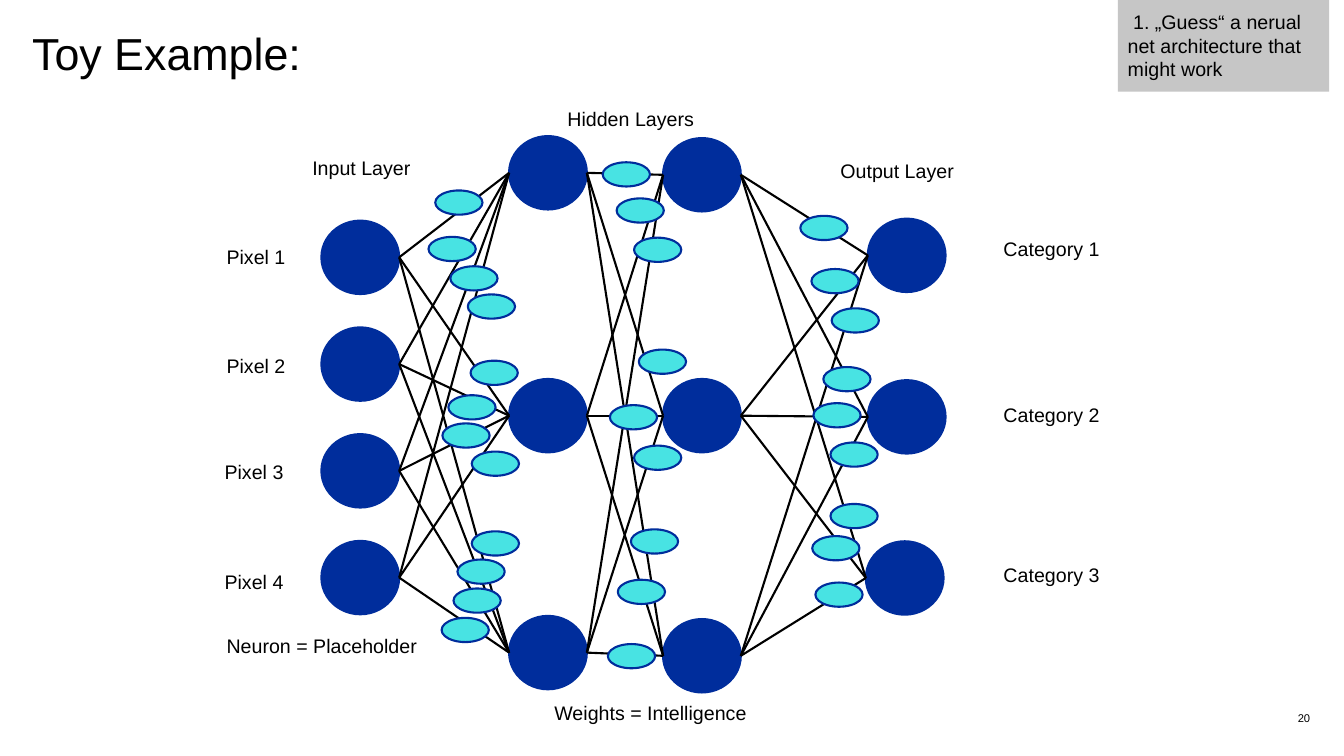
from itertools import pairwise, product

from lxml.etree import SubElement
from pptx import Presentation
from pptx.dml.color import RGBColor
from pptx.enum.shapes import MSO_CONNECTOR, MSO_SHAPE
from pptx.enum.text import MSO_ANCHOR, PP_ALIGN
from pptx.oxml.ns import qn
from pptx.util import Cm, Pt


def color(code):
    return RGBColor.from_string(code)


class Board:
    font = "Arial"
    ink = "000000"
    navy = "002D9C"
    cyan = "48E3E3"
    gray = "C6C6C6"
    stroke = Pt(1.5)

    def __init__(self, slide):
        self.slide = slide

    def fill_text(self, shape, text, size=14, pad=0.25, wrap=True,
                  align=PP_ALIGN.LEFT, anchor=MSO_ANCHOR.TOP):
        frame = shape.text_frame
        frame.word_wrap = wrap
        frame.vertical_anchor = anchor
        frame.margin_left = frame.margin_right = Cm(pad)
        frame.margin_top = frame.margin_bottom = Cm(pad)
        para = frame.paragraphs[0]
        para.text = text
        para.alignment = align
        para.font.name = self.font
        para.font.size = Pt(size)
        para.font.color.rgb = color(self.ink)
        return para

    def text(self, box, text, **style):
        shape = self.slide.shapes.add_textbox(*map(Cm, box))
        return self.fill_text(shape, text, **style)

    def shape(self, kind, box, fill):
        shape = self.slide.shapes.add_shape(kind, *map(Cm, box))
        shape.shadow.inherit = False
        shape.fill.solid()
        shape.fill.fore_color.rgb = color(fill)
        return shape

    def oval(self, box, fill):
        oval = self.shape(MSO_SHAPE.OVAL, box, fill)
        oval.line.color.rgb = color(self.navy)
        oval.line.width = self.stroke
        return oval

    def note(self, box, text):
        note = self.shape(MSO_SHAPE.RECTANGLE, box, self.gray)
        note.line.fill.background()
        self.fill_text(note, text)

    def link(self, left, right):
        line = self.slide.shapes.add_connector(
            MSO_CONNECTOR.STRAIGHT,
            left.left + left.width, left.top + left.height // 2,
            right.left, right.top + right.height // 2)
        line.line.color.rgb = color(self.ink)
        line.line.width = self.stroke
        SubElement(line._element.spPr, qn("a:effectLst"))


def main():
    deck = Presentation()
    deck.slide_width, deck.slide_height = Cm(33.87), Cm(19.05)
    board = Board(deck.slides.add_slide(deck.slide_layouts[6]))

    # Neurons, layer by layer
    places = [
        [(8.1, 5.56 + 2.69 * row) for row in range(4)],
        [(12.83, 3.43), (12.83, 9.55), (12.83, 15.52)],
        [(16.71, 3.48), (16.71, 9.55), (16.71, 15.6)],
        [(21.87, 5.51), (21.87, 9.58), (21.82, 13.64)],
    ]
    layers = [[board.oval((x, y, 1.96, 1.85), board.navy) for x, y in layer]
              for layer in places]

    # Every neuron meets every neuron of the next layer
    for near, far in pairwise(layers):
        for left, right in product(near, far):
            board.link(left, right)

    # Weights on the links
    weights = [
        # input to first hidden layer
        (10.97, 4.8), (10.8, 5.97), (11.35, 6.71), (11.79, 7.42),
        (11.86, 9.09), (11.3, 9.96), (11.15, 10.67), (11.89, 11.38),
        (11.89, 13.39), (11.53, 14.1), (11.43, 14.83), (11.13, 15.57),
        # first to second hidden layer
        (15.19, 4.09), (15.54, 5), (15.98, 5.99),
        (16.1, 8.81), (15.37, 10.21), (15.98, 11.23),
        (15.9, 13.34), (15.57, 14.61), (15.32, 16.23),
        # second hidden layer to output
        (20.17, 5.44), (20.45, 6.78), (20.96, 7.77),
        (20.75, 9.25), (20.5, 10.16), (20.93, 11.15),
        (20.93, 12.7), (20.47, 13.51), (20.55, 14.68),
    ]
    for x, y in weights:
        board.oval((x, y, 1.19, 0.61), board.cyan)

    # Labels
    labels = [
        ("Input Layer", 7.62, 3.68, 3),
        ("Hidden Layers", 14.05, 2.44, 3.71),
        ("Output Layer", 20.93, 3.76, 3.38),
        ("Neuron = Placeholder", 5.46, 15.72, 5.33),
        ("Weights = Intelligence", 13.72, 17.42, 5.38),
        ("Pixel 1", 5.46, 5.92, 2.01),
        ("Pixel 2", 5.46, 8.66, 2.01),
        ("Pixel 3", 5.41, 11.35, 2.01),
        ("Pixel 4", 5.41, 14.1, 2.01),
        ("Category 1", 25.04, 5.72, 2.95),
        ("Category 2", 25.04, 9.91, 2.95),
        ("Category 3", 25.04, 13.94, 2.95),
    ]
    for text, x, y, width in labels:
        board.text((x, y, width, 1.12), text, wrap=False)

    # Step note, title and page number
    board.note((28.17, 0, 5.33, 2.31),
               " 1. „Guess“ a nerual net architecture that might work")
    title = board.text((0.81, 0.81, 16.48, 2.97), "Toy Example:",
                       size=32, pad=0)
    title.line_spacing = 0.9
    board.text((26.24, 17.78, 6.78, 0.61), "20", size=8, pad=0,
               align=PP_ALIGN.RIGHT, anchor=MSO_ANCHOR.MIDDLE)

    deck.save("out.pptx")


if __name__ == "__main__":
    main()
